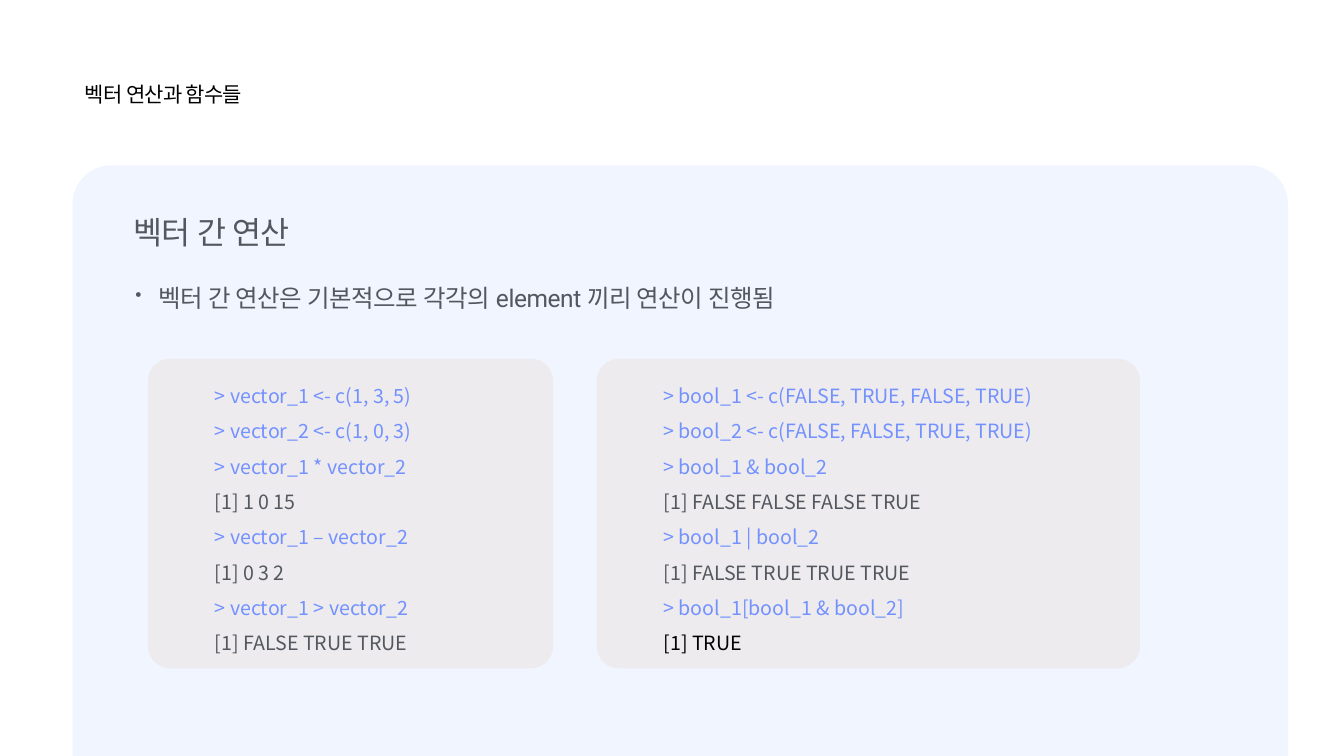
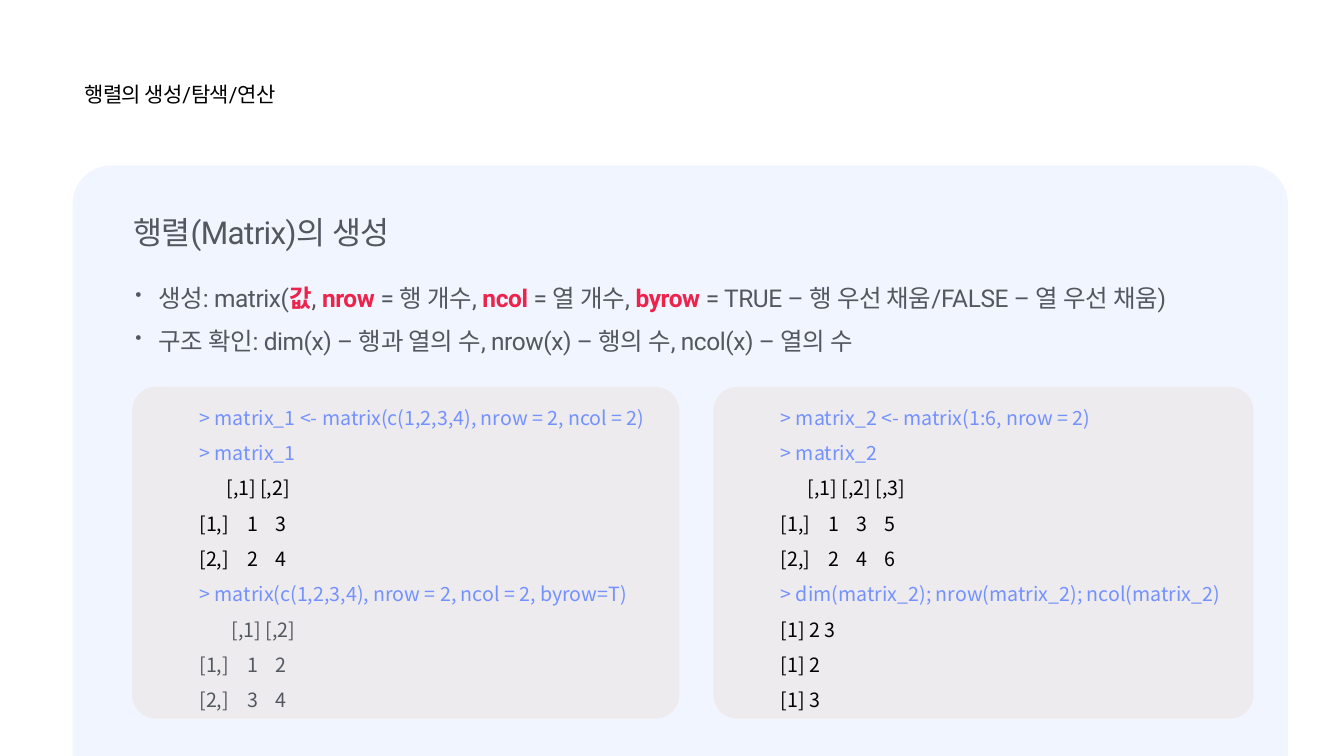
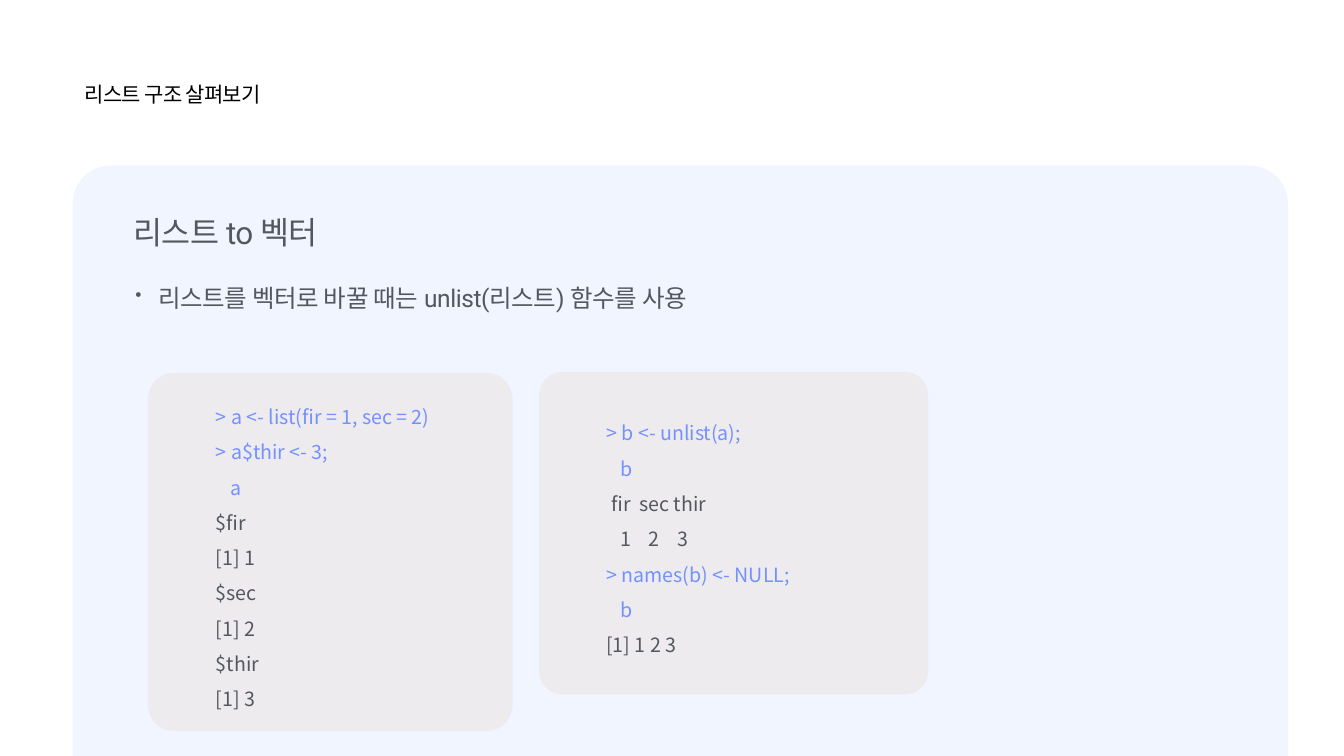
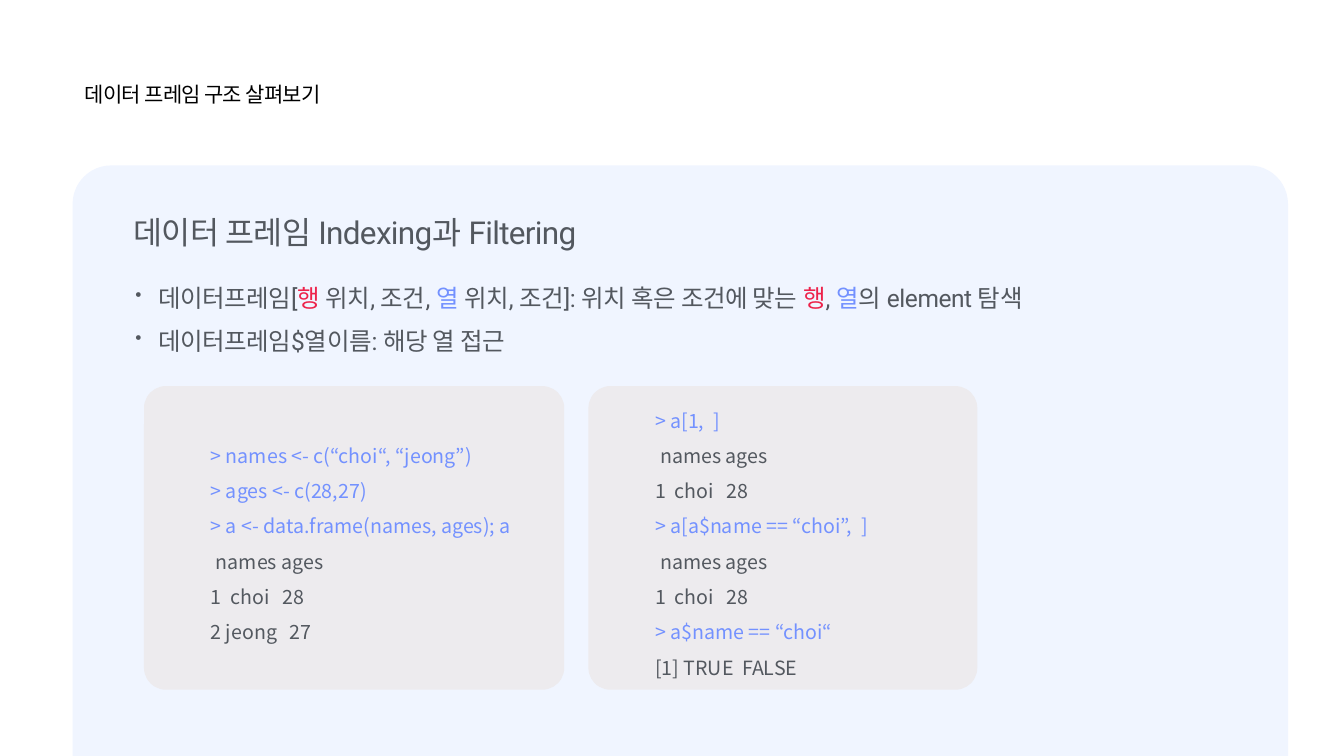
from lxml import etree
from pptx import Presentation
from pptx.dml import color
from pptx.enum import shapes, text
from pptx.oxml import ns
from pptx.util import Cm, Pt

BLACK, GREY, BLUE, RED = "000000", "53585F", "7391FF", "ED234B"
PANEL_FILL, CODE_FILL = "F0F5FF", "EDEBEE"

STYLES = {
    "title": {"font": {"name": "Roboto", "size": Pt(15)}, "tracking": -60,
              "paragraph": {"space_before": Pt(5)}},
    "heading": {"font": {"name": "Roboto", "size": Pt(22.5)}, "tracking": -50,
                "paragraph": {"space_before": Pt(6), "space_after": Pt(7.5)}},
    "bullet": {"font": {"name": "Roboto", "size": Pt(17.5)}, "tracking": -30,
               "paragraph": {"space_after": Pt(10)}},
    "code": {"font": {"name": "Noto Sans CJK KR", "size": Pt(14)}, "tracking": 0,
             "paragraph": {"line_spacing": 1.5, "alignment": text.PP_ALIGN.LEFT}},
}

TITLE_AREA = (2.11, 2.03, 7.72, 0.69)
PANEL_AREA = (1.83, 4.17, 30.63, 15.95)
HEADING_AREA = (3.33, 5.33, 17.32, 0.99)
BULLET_LEFT, BULLET_TOP, BULLET_WIDTH, BULLET_STEP = 3.33, 7.04, 29.31, 1.1
BULLET_INDENT = 0.58
CODE_INSET = 1.52

MATRIX_STOPS = (1.21, 1.92, 2.62)
HEADER_STOP = 0.68
FRAME_STOPS = (0.5, 1.81)
SECOND_STOP = 1.99
NAME_STOP = 0.13
CONTINUE_STOP = 0.36

SLIDES = [
    {
        "title": "벡터 연산과 함수들",
        "heading": "벡터 간 연산",
        "bullets": [[(GREY, "벡터 간 연산은 기본적으로 각각의 element 끼리 연산이 진행됨")]],
        "codes": [
            ((3.73, 9.04, 10.21, 7.8), [
                (BLUE, "> vector_1 <- c(1, 3, 5)"),
                (BLUE, "> vector_2 <- c(1, 0, 3)"),
                (BLUE, "> vector_1 * vector_2"),
                (GREY, "[1] 1 0 15"),
                (BLUE, "> vector_1 – vector_2"),
                (GREY, "[1] 0 3 2"),
                (BLUE, "> vector_1 > vector_2"),
                (GREY, "[1] FALSE TRUE TRUE"),
            ]),
            ((15.04, 9.04, 13.69, 7.8), [
                (BLUE, "> bool_1 <- c(FALSE, TRUE, FALSE, TRUE)"),
                (BLUE, "> bool_2 <- c(FALSE, FALSE, TRUE, TRUE)"),
                (BLUE, "> bool_1 & bool_2"),
                (GREY, "[1] FALSE FALSE FALSE TRUE"),
                (BLUE, "> bool_1 | bool_2"),
                (GREY, "[1] FALSE TRUE TRUE TRUE"),
                (BLUE, "> bool_1[bool_1 & bool_2]"),
                (BLACK, "[1] TRUE"),
            ]),
        ],
    },
    {
        "title": "행렬의 생성/탐색/연산",
        "heading": "행렬(Matrix)의 생성",
        "bullets": [
            [(GREY, "생성: matrix("), (RED, "값", True), (GREY, ", "),
             (RED, "nrow", True), (GREY, " = 행 개수, "),
             (RED, "ncol", True), (GREY, " = 열 개수, "),
             (RED, "byrow", True), (GREY, " = TRUE – 행 우선 채움/FALSE – 열 우선 채움)")],
            [(GREY, "구조 확인: dim(x) – 행과 열의 수, nrow(x) – 행의 수, ncol(x) – 열의 수")],
        ],
        "codes": [
            ((3.33, 9.75, 13.79, 8.36), [
                (BLUE, "> matrix_1 <- matrix(c(1,2,3,4), nrow = 2, ncol = 2)"),
                (BLUE, "> matrix_1"),
                (BLACK, "\t[,1] [,2]", HEADER_STOP),
                (BLACK, "[1,]\t1\t3", *MATRIX_STOPS),
                (BLACK, "[2,]\t2\t4", *MATRIX_STOPS),
                (BLUE, "> matrix(c(1,2,3,4), nrow = 2, ncol = 2, byrow=T)"),
                (GREY, "\t[,1] [,2]", 0.81),
                (GREY, "[1,]\t1\t2", *MATRIX_STOPS),
                (GREY, "[2,]\t3\t4", *MATRIX_STOPS),
            ]),
            ((17.98, 9.75, 13.61, 8.36), [
                (BLUE, "> matrix_2 <- matrix(1:6, nrow = 2)"),
                (BLUE, "> matrix_2"),
                (BLACK, "\t[,1] [,2] [,3]", HEADER_STOP),
                (BLACK, "[1,]\t1\t3\t5", *MATRIX_STOPS),
                (BLACK, "[2,]\t2\t4\t6", *MATRIX_STOPS),
                (BLUE, "> dim(matrix_2); nrow(matrix_2); ncol(matrix_2)"),
                (BLACK, "[1] 2 3"),
                (BLACK, "[1] 2"),
                (BLACK, "[1] 3"),
            ]),
        ],
    },
    {
        "title": "리스트 구조 살펴보기",
        "heading": "리스트 to 벡터",
        "bullets": [[(GREY, "리스트를 벡터로 바꿀 때는 unlist(리스트) 함수를 사용")]],
        "codes": [
            ((3.73, 9.4, 9.19, 9.02), [
                (BLUE, "> a <- list(fir = 1, sec = 2)"),
                (BLUE, "> a$thir <- 3;"),
                (BLUE, "\ta", CONTINUE_STOP),
                (GREY, "$fir"),
                (GREY, "[1] 1"),
                (GREY, "$sec"),
                (GREY, "[1] 2"),
                (GREY, "$thir"),
                (GREY, "[1] 3"),
            ]),
            ((13.59, 9.37, 9.8, 8.13), [
                (BLUE, "> b <- unlist(a);"),
                (BLUE, "\tb", CONTINUE_STOP),
                (GREY, "\tfir\tsec thir", NAME_STOP, 0.83),
                (GREY, "\t1\t2\t3", CONTINUE_STOP, 1.06, 1.79),
                (BLUE, "> names(b) <- NULL;"),
                (BLUE, "\tb", CONTINUE_STOP),
                (GREY, "[1] 1 2 3"),
            ]),
        ],
    },
    {
        "title": "데이터 프레임 구조 살펴보기",
        "heading": "데이터 프레임 Indexing과 Filtering",
        "bullets": [
            [(GREY, "데이터프레임["), (RED, "행 "), (GREY, "위치, 조건, "), (BLUE, "열 "),
             (GREY, "위치, 조건]: 위치 혹은 조건에 맞는 "), (RED, "행"), (GREY, ", "),
             (BLUE, "열"), (GREY, "의 element 탐색")],
            [(GREY, "데이터프레임$열이름: 해당 열 접근")],
        ],
        "codes": [
            ((3.63, 9.73, 10.59, 7.65), [
                (BLUE, "> names <- c(“choi“, “jeong”)"),
                (BLUE, "> ages <- c(28,27)"),
                (BLUE, "> a <- data.frame(names, ages); a"),
                (GREY, "\tnames ages", NAME_STOP),
                (GREY, "1\tchoi\t28", *FRAME_STOPS),
                (GREY, "2 jeong\t27", SECOND_STOP),
            ]),
            ((14.83, 9.73, 9.8, 7.65), [
                (BLUE, "> a[1,  ]"),
                (GREY, "\tnames ages", NAME_STOP),
                (GREY, "1\tchoi\t28", *FRAME_STOPS),
                (BLUE, "> a[a$name == “choi”,  ]"),
                (GREY, "\tnames ages", NAME_STOP),
                (GREY, "1\tchoi\t28", *FRAME_STOPS),
                (BLUE, "> a$name == “choi“"),
                (GREY, "[1] TRUE\tFALSE", 2.19),
            ]),
        ],
    },
]


def rgb(value):
    return color.RGBColor.from_string(value)


def set_values(target, values):
    for name, value in values.items():
        setattr(target, name, value)


def add_element(parent, tag, **attributes):
    element = etree.SubElement(parent, ns.qn(tag))
    for name, value in attributes.items():
        element.set(name, str(value))
    return element


def add_rounded(slide, area, fill, radius):
    shape = slide.shapes.add_shape(
        shapes.MSO_SHAPE.ROUNDED_RECTANGLE, *map(Cm, area))
    shape.adjustments[0] = radius
    shape.shadow.inherit = False
    shape.fill.solid()
    shape.fill.fore_color.rgb = rgb(fill)
    shape.line.fill.background()
    return shape


def add_text_box(slide, area, inset):
    frame = slide.shapes.add_textbox(*map(Cm, area)).text_frame
    sides = ("left", "top", "right", "bottom")
    set_values(frame, {f"margin_{side}": Cm(inset) for side in sides})
    frame.word_wrap = True
    return frame


def write_paragraph(frame, index, style_name, runs):
    style = STYLES[style_name]
    paragraph = frame.add_paragraph() if index else frame.paragraphs[0]
    set_values(paragraph, style["paragraph"])
    for ink, words, *bold in runs:
        run = paragraph.add_run()
        run.text = words
        set_values(run.font, {**style["font"], "bold": bool(bold)})
        run.font.color.rgb = rgb(ink)
        properties = run._r.get_or_add_rPr()
        properties.set("spc", str(style["tracking"]))
        add_element(properties, "a:ea", typeface=style["font"]["name"])
    return paragraph._p.get_or_add_pPr()


def add_bullets(slide, bullets):
    area = (BULLET_LEFT, BULLET_TOP, BULLET_WIDTH, len(bullets) * BULLET_STEP - 0.2)
    frame = add_text_box(slide, area, 0.08)
    for index, runs in enumerate(bullets):
        properties = write_paragraph(frame, index, "bullet", runs)
        properties.set("marL", str(Cm(BULLET_INDENT)))
        properties.set("indent", str(-Cm(BULLET_INDENT)))
        add_element(properties, "a:buSzPct", val=75000)
        add_element(properties, "a:buChar", char="•")


def add_code(slide, area, lines):
    frame = add_rounded(slide, area, CODE_FILL, 0.072).text_frame
    set_values(frame, {"word_wrap": True, "margin_left": Cm(CODE_INSET),
                       "vertical_anchor": text.MSO_ANCHOR.MIDDLE})
    for index, (ink, words, *stops) in enumerate(lines):
        properties = write_paragraph(frame, index, "code", [(ink, words)])
        if stops:
            tabs = add_element(properties, "a:tabLst")
            for stop in stops:
                add_element(tabs, "a:tab", pos=int(Cm(stop)), algn="l")


def add_slide(presentation, content):
    slide = presentation.slides.add_slide(presentation.slide_layouts[6])
    write_paragraph(add_text_box(slide, TITLE_AREA, 0.03), 0, "title",
                    [(BLACK, content["title"])])
    add_rounded(slide, PANEL_AREA, PANEL_FILL, 0.061)
    add_bullets(slide, content["bullets"])
    write_paragraph(add_text_box(slide, HEADING_AREA, 0.03), 0, "heading",
                    [(GREY, content["heading"])])
    for area, lines in content["codes"]:
        add_code(slide, area, lines)


def main():
    presentation = Presentation()
    set_values(presentation, {"slide_width": Cm(33.87), "slide_height": Cm(19.05)})
    for content in SLIDES:
        add_slide(presentation, content)
    presentation.save("out.pptx")


if __name__ == "__main__":
    main()
